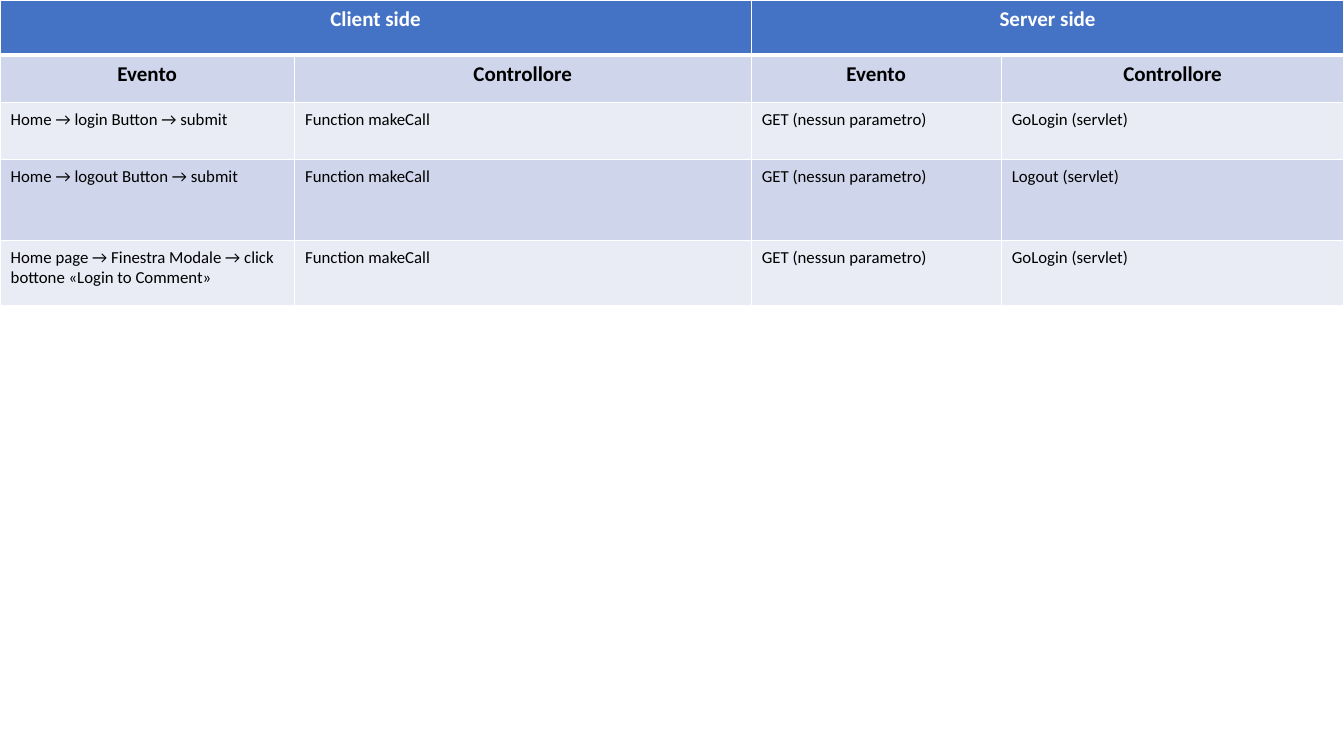
import pptx
import pptx.util
import pptx.dml.color
import pptx.enum.text
import pptx.oxml.ns
import lxml.etree

SIDES = ["Client side", "Server side"]
HEADINGS = ["Evento", "Controllore"] * len(SIDES)
CALLS = [
    ("Home → login Button → submit", "Function makeCall",
     "GET (nessun parametro)", "GoLogin (servlet)"),
    ("Home → logout Button → submit", "Function makeCall",
     "GET (nessun parametro)", "Logout (servlet)"),
    ("Home page → Finestra Modale → click bottone «Login to Comment»", "Function makeCall",
     "GET (nessun parametro)", "GoLogin (servlet)"),
]
COLUMN_WIDTHS = [7.42, 11.51, 6.3, 8.64]
ROW_HEIGHTS = [1.39, 1.19, 1.44, 2.04, 1.65]
COLORS = {
    "header": "4472C4",
    "dark_band": "CFD5EA",
    "light_band": "E9EBF5",
    "white": "FFFFFF",
    "black": "000000",
}
FONT = "Calibri"


def rgb(name):
    return pptx.dml.color.RGBColor.from_string(COLORS[name])


def add_borders(cell, bottom=1):
    properties = cell._tc.get_or_add_tcPr()
    for side, width in {"L": 1, "R": 1, "T": 1, "B": bottom}.items():
        border = lxml.etree.SubElement(
            properties, pptx.oxml.ns.qn(f"a:ln{side}"), w=str(pptx.util.Pt(width)))
        line_fill = lxml.etree.SubElement(border, pptx.oxml.ns.qn("a:solidFill"))
        lxml.etree.SubElement(
            line_fill, pptx.oxml.ns.qn("a:srgbClr"), val=COLORS["white"])


def write(cell, text, size=12, bold=False, color="black", centered=False):
    paragraph = cell.text_frame.paragraphs[0]
    if centered:
        paragraph.alignment = pptx.enum.text.PP_ALIGN.CENTER
    run = paragraph.add_run()
    run.text = text
    run.font.name = FONT
    run.font.size = pptx.util.Pt(size)
    run.font.bold = bold
    run.font.color.rgb = rgb(color)


def main():
    deck = pptx.Presentation()
    deck.slide_width = pptx.util.Cm(33.87)
    deck.slide_height = pptx.util.Cm(19.05)
    slide = deck.slides.add_slide(deck.slide_layouts[6])
    events = slide.shapes.add_table(
        len(ROW_HEIGHTS), len(COLUMN_WIDTHS), 0, 0,
        pptx.util.Cm(sum(COLUMN_WIDTHS)), pptx.util.Cm(sum(ROW_HEIGHTS))).table
    for column, width in zip(events.columns, COLUMN_WIDTHS):
        column.width = pptx.util.Cm(width)

    for index, (row, height) in enumerate(zip(events.rows, ROW_HEIGHTS)):
        row.height = pptx.util.Cm(height)
        band = "header" if index == 0 else "dark_band" if index % 2 else "light_band"
        for cell in row.cells:
            add_borders(cell, bottom=3 if index == 0 else 1)
            cell.fill.solid()
            cell.fill.fore_color.rgb = rgb(band)
            cell.margin_left = cell.margin_right = pptx.util.Cm(0.27)
            cell.margin_top = cell.margin_bottom = pptx.util.Cm(0.17)

    span = len(COLUMN_WIDTHS) // len(SIDES)
    for index, side in enumerate(SIDES):
        first = events.cell(0, index * span)
        first.merge(events.cell(0, (index + 1) * span - 1))
        write(first, side, size=15, bold=True, color="white", centered=True)
    for column, heading in enumerate(HEADINGS):
        write(events.cell(1, column), heading, size=15, bold=True, centered=True)
    for row, call in enumerate(CALLS, start=2):
        for column, text in enumerate(call):
            write(events.cell(row, column), text)

    deck.save("out.pptx")


if __name__ == "__main__":
    main()
